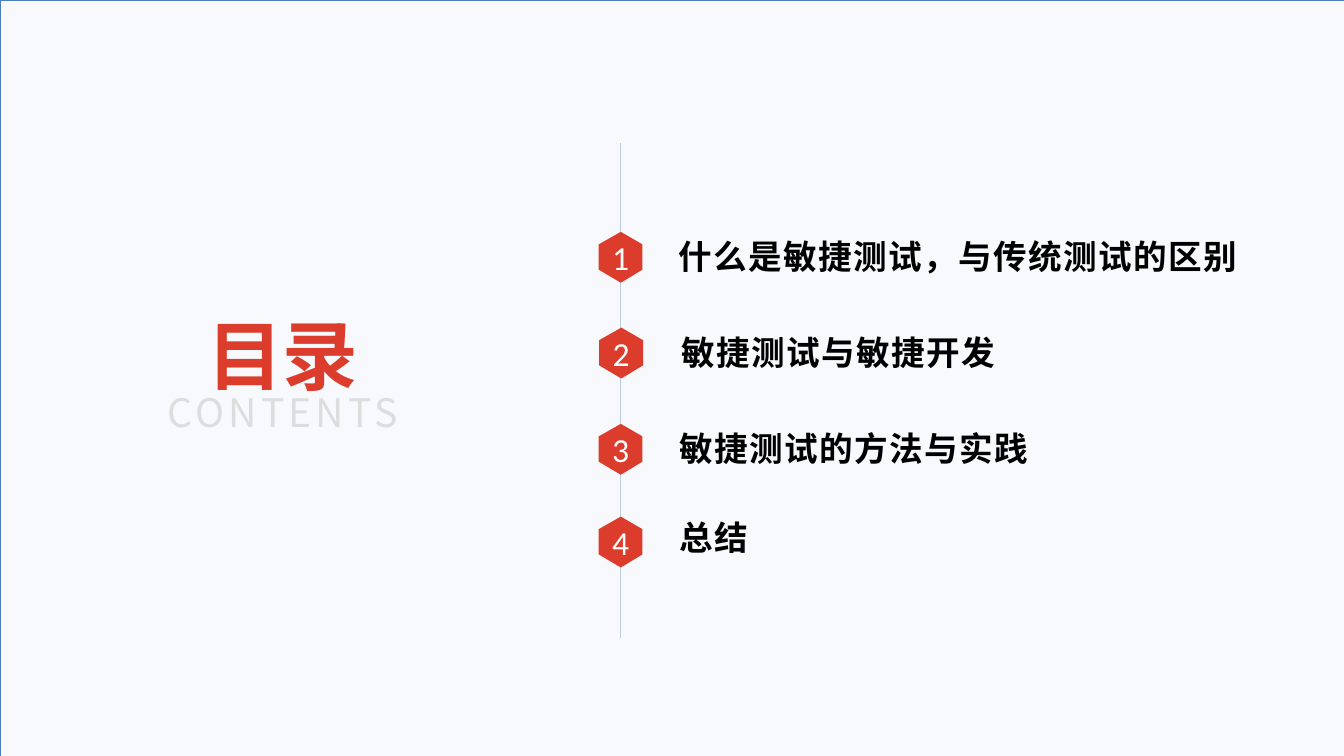
"""Build a contents slide with four numbered hexagons on a vertical line."""
from lxml import etree
from pptx import Presentation
from pptx import util as u
from pptx.dml.color import RGBColor
from pptx.enum import shapes, text
from pptx.oxml.ns import qn

SCALE = 9144
HUES = {"page": "F7F9FD", "edge": "4B7EBC", "rule": "B9CDE5", "red": "DC3C2B",
        "pale": "DDDDDD", "ink": "000000", "white": "FFFFFF"}
CJK, LATIN = "Noto Sans CJK SC", "Calibri"
HEX = [(44, 0), (87, 25), (87, 75), (44, 101), (0, 75), (0, 25)]
ITEMS = [
    ("什么是敏捷测试，与传统测试的区别", (1188, 460), (1308, 450, 1234)),
    ("敏捷测试与敏捷开发", (1189, 650), (1313, 640, 1019)),
    ("敏捷测试的方法与实践", (1188, 841), (1309, 830, 1019)),
    ("总结", (1188, 1025), (1309, 1007, 1019)),
]


def px(*vals):
    return [u.Emu(v * SCALE) for v in vals]


class Deck:
    def __init__(self, wide, high):
        self.prs = Presentation()
        self.prs.slide_width, self.prs.slide_height = px(wide, high)
        self.slide = self.prs.slides.add_slide(self.prs.slide_layouts[5])
        self.shapes = self.slide.shapes

    def hue(self, name):
        return RGBColor.from_string(HUES[name])

    def fill(self, shape, name):
        shape.shadow.inherit = False
        shape.fill.solid()
        shape.fill.fore_color.rgb = self.hue(name)

    def letter(self, shape, words, size, hue, font=CJK, bold=False, gap=0,
               mid=True, wrap=True, inset=10):
        frame = shape.text_frame
        frame.auto_size = text.MSO_AUTO_SIZE.NONE
        frame.word_wrap = wrap
        frame.vertical_anchor = text.MSO_ANCHOR.MIDDLE
        frame.margin_left, frame.margin_right = px(inset, 10)
        frame.margin_top, frame.margin_bottom = px(5, 5)
        para = frame.paragraphs[0]
        para.alignment = text.PP_ALIGN.CENTER if mid else text.PP_ALIGN.LEFT
        run = para.add_run()
        run.text = words
        run.font.size, run.font.bold, run.font.name = u.Pt(size), bold, font
        run.font.color.rgb = self.hue(hue)
        props = run._r.get_or_add_rPr()
        props.set("spc", str(gap * 100))
        etree.SubElement(props, qn("a:ea")).set("typeface", font)

    def page(self, box):
        rect = self.shapes.add_shape(shapes.MSO_SHAPE.RECTANGLE, *px(*box))
        self.fill(rect, "page")
        rect.line.color.rgb = self.hue("edge")
        rect.line.width = u.Pt(0.75)

    def title(self, box, words, size, hue):
        head = self.shapes.title
        self.shapes.element.append(head.element)
        head.left, head.top, head.width, head.height = px(*box)
        self.letter(head, words, size, hue, bold=True, wrap=False)

    def label(self, box, words, size, hue, **style):
        self.letter(self.shapes.add_textbox(*px(*box)), words, size, hue, **style)

    def rule(self, ends, hue, width):
        line = self.shapes.add_connector(shapes.MSO_CONNECTOR.STRAIGHT, *px(*ends))
        line.line.color.rgb = self.hue(hue)
        line.line.width = u.Pt(width)
        etree.SubElement(line.element.spPr, qn("a:effectLst"))

    def badge(self, left, top, words):
        pts = [(left + x, top + y) for x, y in HEX]
        pen = self.shapes.build_freeform(*pts[0], scale=SCALE)
        pen.add_line_segments(pts[1:], close=True)
        shape = pen.convert_to_shape()
        self.fill(shape, "red")
        shape.line.fill.background()
        self.letter(shape, words, 48, "white", font=LATIN)


def main():
    deck = Deck(2667, 1500)
    deck.page((0, 0, 2667, 1500))
    deck.rule((1231, 284, 1231, 1266), "rule", 2)
    deck.title((368, 617, 386, 172), "目录", 108, "red")
    deck.label((368, 732, 386, 172), "CONTENTS", 56, "pale", gap=6, wrap=False)
    for num, (words, spot, (left, top, wide)) in enumerate(ITEMS, 1):
        deck.badge(*spot, str(num))
        deck.label((left, top, wide, 118), words, 48, "ink",
                   bold=True, gap=2, mid=False, inset=39)
    deck.prs.save("out.pptx")


if __name__ == "__main__":
    main()
